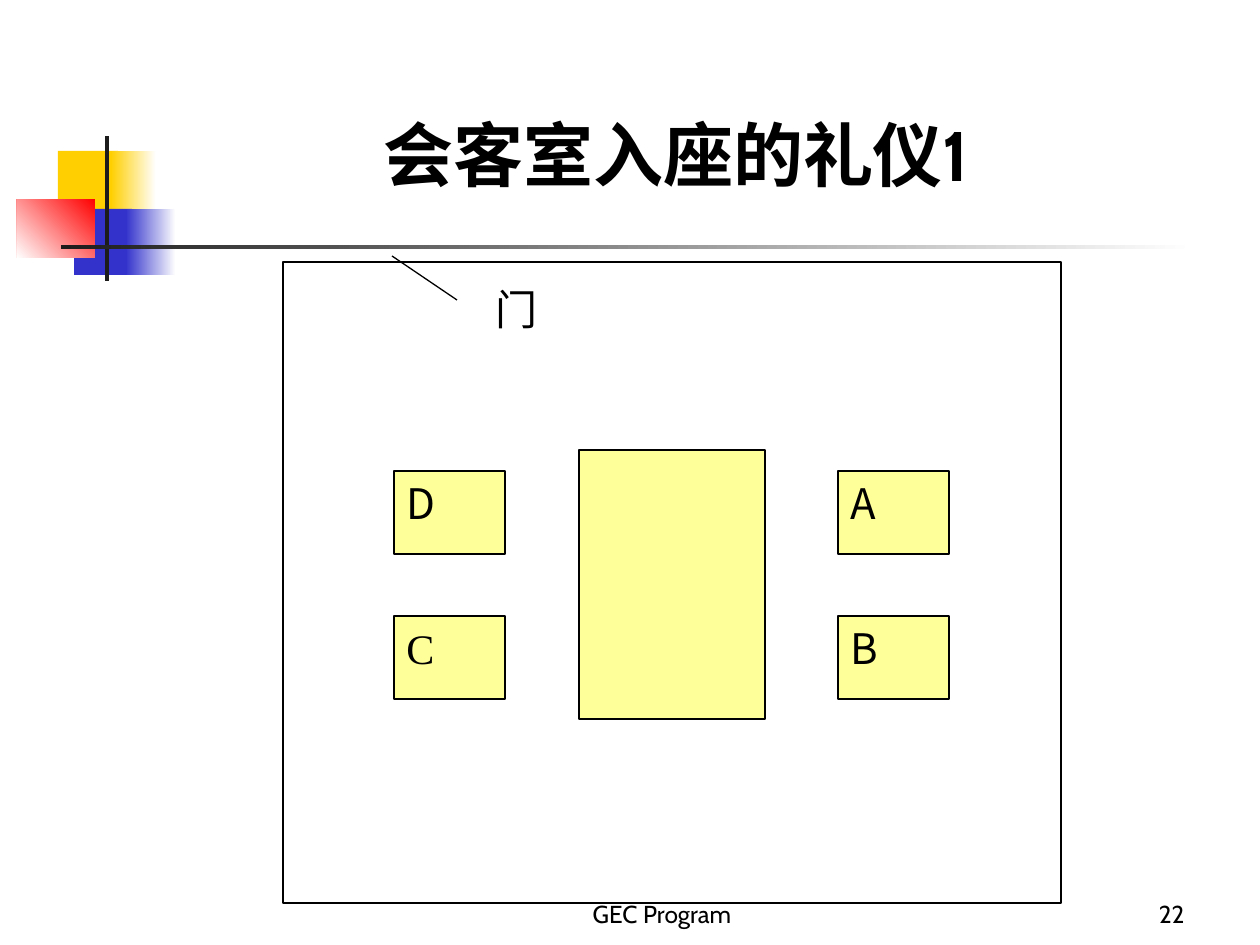
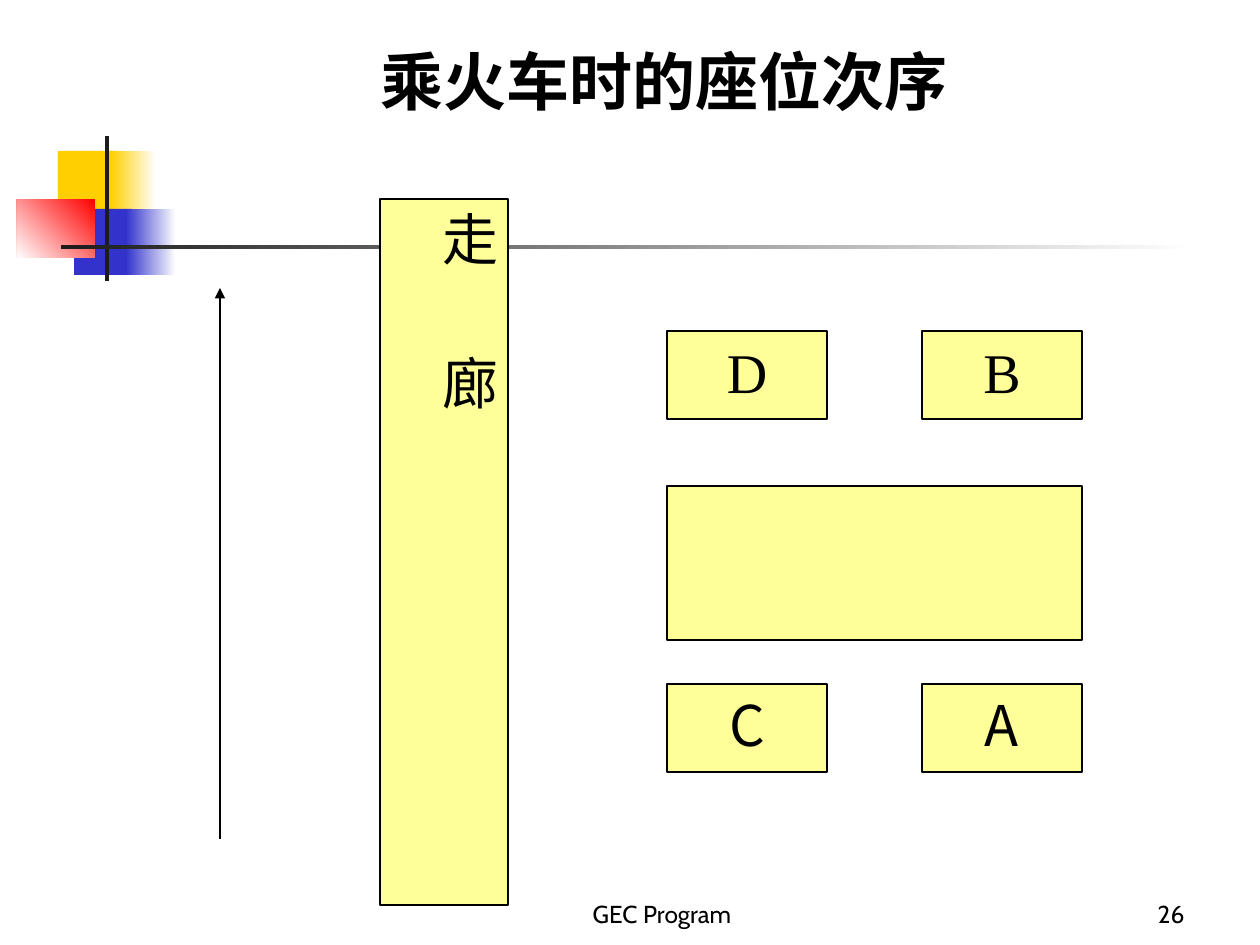
from lxml.etree import SubElement
from pptx import Presentation
from pptx.dml.color import RGBColor
from pptx.enum.shapes import MSO_CONNECTOR as Connector, MSO_SHAPE as Shape
from pptx.enum.text import MSO_ANCHOR as Anchor, MSO_AUTO_SIZE as AutoSize, PP_ALIGN as Align
from pptx.oxml.ns import qn
from pptx.util import Inches, Pt

# Colours and fonts
BLACK = RGBColor(0x00, 0x00, 0x00)
WHITE = RGBColor(0xFF, 0xFF, 0xFF)
YELLOW = RGBColor(0xFF, 0xCF, 0x01)
BLUE = RGBColor(0x33, 0x33, 0xCC)
RED = RGBColor(0xFF, 0x00, 0x00)
CHARCOAL = RGBColor(0x1C, 0x1C, 0x1C)
SEAT_YELLOW = RGBColor(0xFF, 0xFF, 0x99)
SANS, SERIF, CJK = "Cabin", "Times New Roman", "Noto Sans CJK SC"

# Shared parts, in px: place, fill (one colour, or two colours and an angle)
SCALE = Inches(1) / 126
MOTIF = [
    ((58, 151, 60, 66), YELLOW),
    ((111, 151, 45, 66), (WHITE, YELLOW, 180)),
    ((74, 209, 58, 66), BLUE),
    ((126, 209, 50, 66), (WHITE, BLUE, 180)),
    ((17, 199, 78, 59), (RED, WHITE, 225)),
    ((105, 136, 4, 145), CHARCOAL),
    ((61, 245, 1134, 4), (WHITE, CHARCOAL, 180)),
]
FOOTER = "GEC Program"
FOOTER_PLACE = (462, 872, 400, 63)
NUMBER_PLACE = (935, 872, 262, 63)

# Meeting room: seats are listed by row, left to right
ROOM = {
    "title": [("会客室入座的礼仪1 ", 40)],
    "title_place": (147, 116, 1074, 86),
    "number": "22",
    "walls": (283, 262, 778, 641),
    "table": (579, 450, 186, 269),
    "seats": [[("D", CJK), ("A", CJK)], [("C", SERIF), ("B", CJK)]],
    "first_seat": (394, 471, 111, 83),
    "seat_step": (444, 145),
    "door": "门",
    "door_place": (483, 277, 296, 127),
    "door_leaf": (392, 256, 457, 300),
}

# Train compartment
TRAIN = {
    "title": [("乘火车时的座位次序", 36), (" ", 44)],
    "title_place": (136, 31, 1074, 96),
    "number": "26",
    "aisle": "走廊",
    "aisle_place": (380, 199, 128, 706),
    "aisle_gap": 50,
    "table": (667, 486, 415, 154),
    "seats": [[("D", SERIF), ("B", SERIF)], [("C", CJK), ("A", CJK)]],
    "first_seat": (667, 331, 160, 88),
    "seat_step": (255, 353),
    "direction": (220, 839, 220, 288),
}


def emu(place):
    return [round(length * SCALE) for length in place]


def write(box, text, size=24, font=SANS, align=Align.LEFT, anchor=Anchor.TOP, bold=False):
    """Add text to the first paragraph of a box and return its span."""
    frame = box.text_frame
    frame.word_wrap = True
    frame.auto_size = AutoSize.NONE
    frame.vertical_anchor = anchor
    para = frame.paragraphs[0]
    para.alignment = align
    span = para.add_run()
    span.text = text
    span.font.size, span.font.name, span.font.bold = Pt(size), font, bold
    span.font.color.rgb = BLACK
    SubElement(span.font._element, qn("a:ea")).set("typeface", CJK)
    return span


def add_box(page, place, fill, outlined=True):
    box = page.shapes.add_shape(Shape.RECTANGLE, *emu(place))
    box.shadow.inherit = False
    if isinstance(fill, RGBColor):
        box.fill.solid()
        box.fill.fore_color.rgb = fill
    else:
        box.fill.gradient()
        *colours, box.fill.gradient_angle = fill
        for stop, colour in zip(box.fill.gradient_stops, colours):
            stop.color.rgb = colour
    if outlined:
        box.line.color.rgb = BLACK
        box.line.width = Pt(0.75)
    else:
        box.line.fill.background()
    return box


def add_line(page, ends, arrow=False):
    line = page.shapes.add_connector(Connector.STRAIGHT, *emu(ends))
    line.line.color.rgb = BLACK
    line.line.width = Pt(0.75)
    properties = line.element.spPr
    if arrow:
        SubElement(properties.find(qn("a:ln")), qn("a:tailEnd")).set("type", "triangle")
    SubElement(properties, qn("a:effectLst"))


def add_label(page, place, text, **style):
    write(page.shapes.add_textbox(*emu(place)), text, **style)


def add_page(deck, layout, content):
    """Start a page with its title, footer and number."""
    page = deck.slides.add_slide(layout)
    title = page.shapes.title
    title.left, title.top, title.width, title.height = emu(content["title_place"])
    for text, size in content["title"]:
        write(title, text, size=size, align=Align.CENTER, anchor=Anchor.BOTTOM,
              bold=bool(text.strip()))
    add_label(page, FOOTER_PLACE, FOOTER, size=14, align=Align.CENTER, anchor=Anchor.BOTTOM)
    add_label(page, NUMBER_PLACE, content["number"], size=14, align=Align.RIGHT,
              anchor=Anchor.BOTTOM)
    return page


def add_seating(page, content, **style):
    """Draw the table and the grid of seats."""
    add_box(page, content["table"], SEAT_YELLOW)
    left, top, width, height = content["first_seat"]
    step_x, step_y = content["seat_step"]
    for row, seats in enumerate(content["seats"]):
        for column, (name, font) in enumerate(seats):
            place = (left + column * step_x, top + row * step_y, width, height)
            write(add_box(page, place, SEAT_YELLOW), name, font=font, **style)


def add_motif(page, layout):
    """Build the corner squares and rules, and keep them on the layout."""
    for place, fill in MOTIF:
        box = add_box(page, place, fill, outlined=False)
        layout.shapes.element.append(box.element)


def build_room(page):
    add_box(page, ROOM["walls"], WHITE)
    add_label(page, ROOM["door_place"], ROOM["door"], font=SERIF)
    add_line(page, ROOM["door_leaf"])
    add_seating(page, ROOM)


def build_train(page):
    aisle = add_box(page, TRAIN["aisle_place"], SEAT_YELLOW)
    spans = [write(aisle, letter, size=32, font=SERIF, align=Align.CENTER)
             for letter in TRAIN["aisle"]]
    spans[0].font._element.set("spc", str(TRAIN["aisle_gap"] * 100))
    frame = aisle.text_frame
    frame._txBody.bodyPr.set("vert", "eaVert")
    frame.margin_left = frame.margin_right = Inches(0.05)
    frame.margin_top = frame.margin_bottom = Inches(0.1)
    add_seating(page, TRAIN, size=32, align=Align.CENTER)
    add_line(page, TRAIN["direction"], arrow=True)


def main():
    deck = Presentation()
    deck.slide_width, deck.slide_height = Inches(10), Inches(7.5)
    layout = deck.slide_layouts[5]
    room_page = add_page(deck, layout, ROOM)
    add_motif(room_page, layout)
    build_room(room_page)
    build_train(add_page(deck, layout, TRAIN))
    deck.save("out.pptx")


if __name__ == "__main__":
    main()
